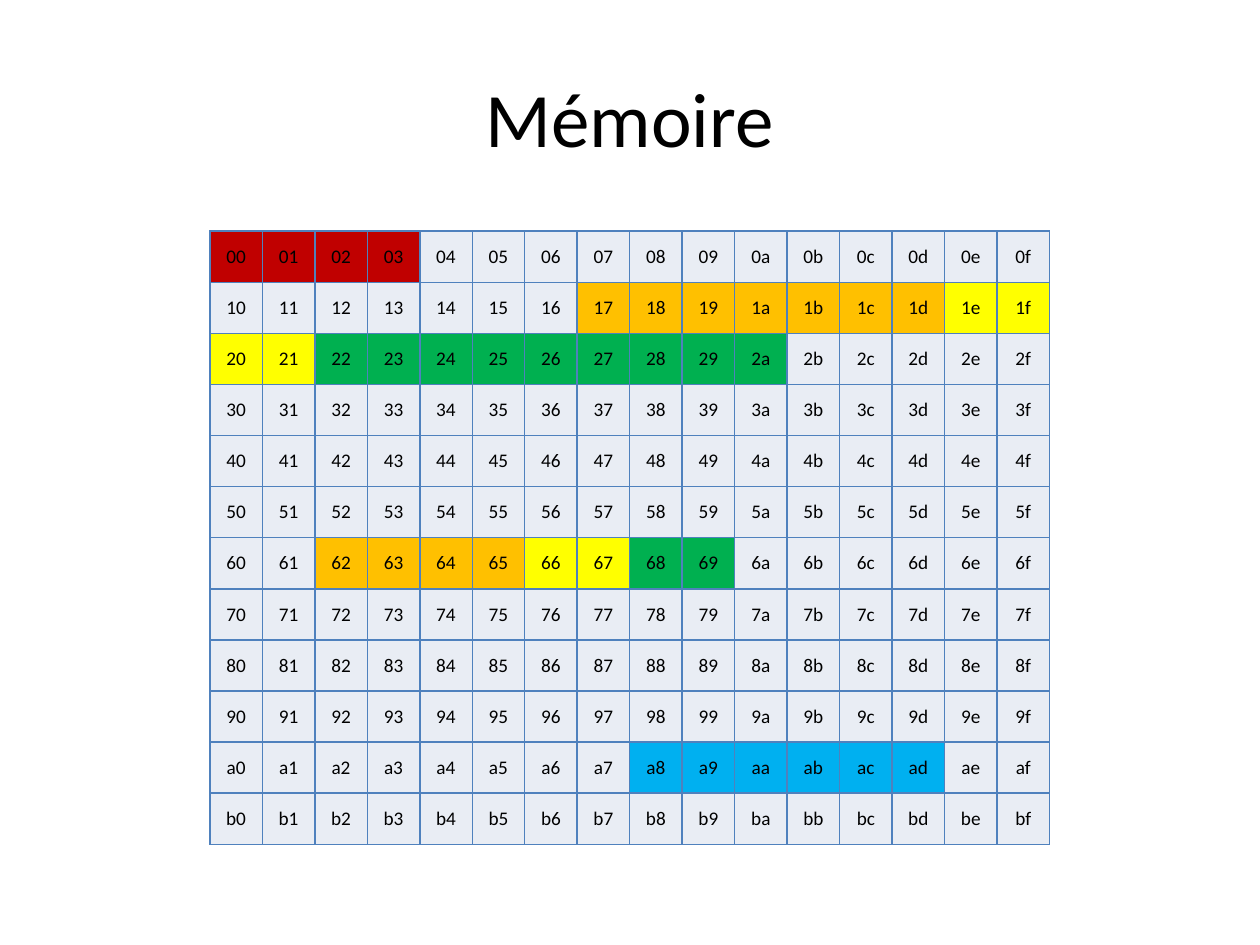
from lxml import etree
from pptx import Presentation
from pptx.dml.color import RGBColor
from pptx.enum.text import MSO_ANCHOR, PP_ALIGN
from pptx.oxml.ns import qn
from pptx.util import Cm, Pt

CENTER = PP_ALIGN.CENTER
MIDDLE = MSO_ANCHOR.MIDDLE
TITLE_ONLY = 5
FONT = "Calibri"
COLORS = {
    "text": "000000",
    "border": "4F81BD",
    "free": "E9EDF4",
    "red": "C00000",
    "orange": "FFC000",
    "yellow": "FFFF00",
    "green": "00B050",
    "blue": "00B0F0",
}
ROWS, COLUMNS = 12, 16
BLOCKS = [
    (0x00, 0x03, "red"),
    (0x17, 0x1D, "orange"),
    (0x1E, 0x21, "yellow"),
    (0x22, 0x2A, "green"),
    (0x62, 0x65, "orange"),
    (0x66, 0x67, "yellow"),
    (0x68, 0x69, "green"),
    (0xA8, 0xAD, "blue"),
]


def write_text(frame, text, size):
    frame.text = text
    para = frame.paragraphs[0]
    para.alignment = CENTER
    font = para.runs[0].font
    font.name = FONT
    font.size = Pt(size)
    font.color.rgb = RGBColor.from_string(COLORS["text"])


def add_borders(cell):
    properties = cell._tc.get_or_add_tcPr()
    for side in ("a:lnL", "a:lnR", "a:lnT", "a:lnB"):
        line = etree.SubElement(properties, qn(side), w=str(Pt(1)))
        fill = etree.SubElement(line, qn("a:solidFill"))
        etree.SubElement(fill, qn("a:srgbClr"), val=COLORS["border"])


def block_color(address):
    for first, last, color in BLOCKS:
        if first <= address <= last:
            return COLORS[color]
    return COLORS["free"]


def place_title(page, left, top, width, height):
    title = page.shapes.title
    title.left, title.top = Cm(left), Cm(top)
    title.width, title.height = Cm(width), Cm(height)
    title.text_frame.vertical_anchor = MIDDLE
    write_text(title.text_frame, "Mémoire", 44)


def place_memory(page, left, top, width, height):
    table = page.shapes.add_table(
        ROWS, COLUMNS, Cm(left), Cm(top), Cm(width), Cm(height)
    ).table
    table.first_row = False
    table.horz_banding = False
    for address, cell in enumerate(table.iter_cells()):
        cell.vertical_anchor = MIDDLE
        write_text(cell.text_frame, f"{address:02x}", 11)
        add_borders(cell)
        cell.fill.solid()
        cell.fill.fore_color.rgb = RGBColor.from_string(block_color(address))


def main():
    deck = Presentation()
    deck.slide_width, deck.slide_height = Cm(25.4), Cm(19.05)
    page = deck.slides.add_slide(deck.slide_layouts[TITLE_ONLY])
    place_title(page, 1.27, 0.76, 22.86, 3.18)
    place_memory(page, 4.23, 4.66, 16.93, 12.36)
    deck.save("out.pptx")


if __name__ == "__main__":
    main()
